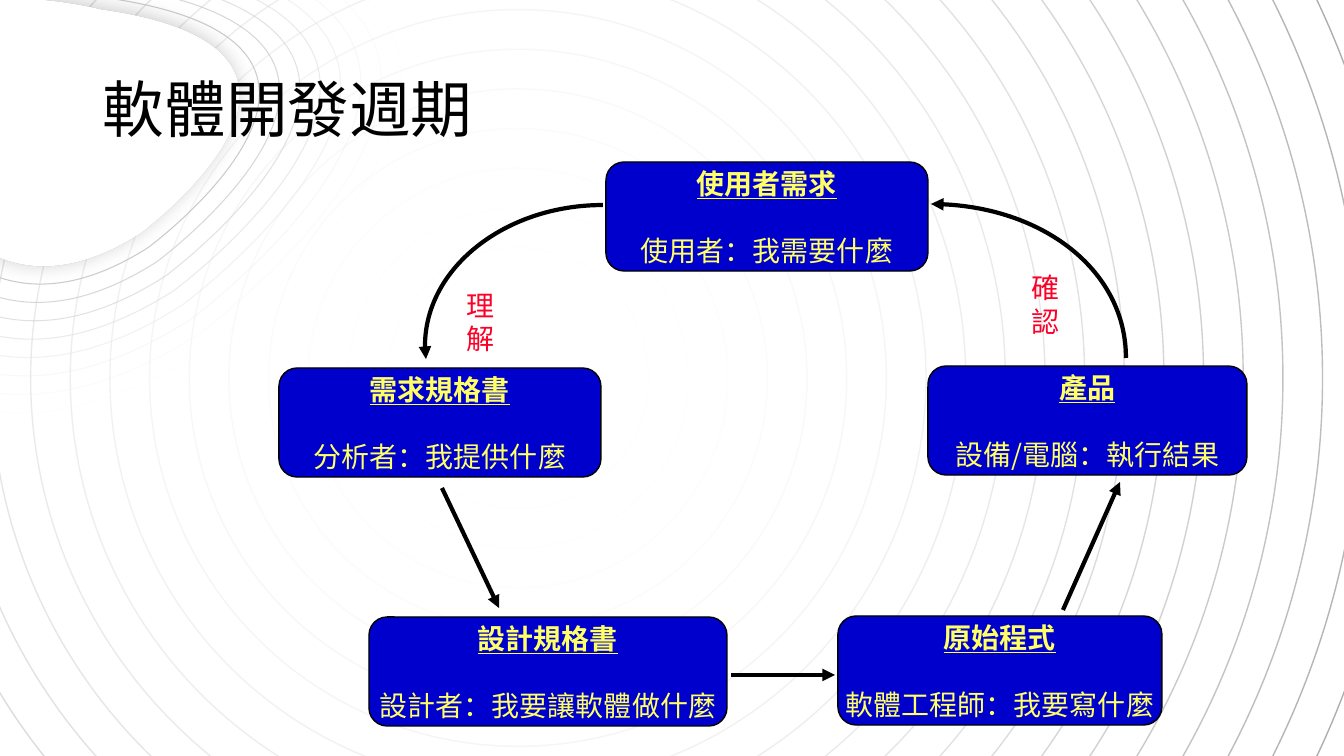
from lxml.etree import SubElement
from pptx import Presentation
from pptx.dml.color import RGBColor
from pptx.enum.shapes import MSO_CONNECTOR, MSO_SHAPE
from pptx.enum.text import MSO_ANCHOR, PP_ALIGN
from pptx.oxml.ns import qn
from pptx.util import Pt

# Content, lengths in px
W, H = 1344, 756
FONT = "Noto Sans CJK SC"
COLORS = {"box": "0000CC", "line": "000000", "text": "FFFF66",
          "label": "FC0128", "title": "000000", "white": "FFFFFF", "ring_shadow": "323232"}
TITLE = "軟體開發週期"
STAGES = [  # heading, question, left, top, width
    ("使用者需求", "使用者：我需要什麼", 606, 162, 322),
    ("需求規格書", "分析者：我提供什麼", 279, 368, 322),
    ("設計規格書", "設計者：我要讓軟體做什麼", 369, 617, 358),
    ("原始程式", "軟體工程師：我要寫什麼", 838, 616, 324),
    ("產品", "設備/電腦：執行結果", 928, 366, 319),
]
STAGE_H = 109
LABELS = [("理解", 451, 280), ("確認", 1016, 263)]
ARROWS = [((442, 488), (499, 608)), ((731, 675), (835, 675)), ((1063, 610), (1120, 482))]
ARCS = [  # lists of cubic segments
    [((603, 205), (505, 205), (425, 268), (425, 346)),
     ((425, 346), (425, 350), (425, 354), (426, 359))],
    [((1126, 358), (1126, 272), (1040, 204), (931, 204))],
]
# Rings around one centre
RING_CENTER, RING_COUNT, RING_OUTER, RING_INNER, RING_GREY = (518, 378), 21, 1847, 261, 166
# Blob outlines: corner, pull, corner, pull, corner, pull
BLOB_OUTER = [(131, -89), (-363, -216), (-269, 146), (-140, 571), (208, 348), (691, -10)]
BLOB_INNER = [(101, 10), (-151, -55), (-104, 130), (-37, 346), (140, 233), (387, 50)]
BLOB_COUNT, BLOB_GREY = 9, 191

SCALE = 12192000 / W


def px(n):
    return round(n * SCALE)


def rgb(hex_string):
    return RGBColor.from_string(hex_string)


def mix(a, b, t):
    return a + (b - a) * t


def fade(dark, alpha):
    grey = round(mix(255, dark, alpha))
    return f"{grey:02X}" * 3


def style(sp, line, width, fill=None, alpha=1):
    sp.shadow.inherit = False
    if fill:
        sp.fill.solid()
        sp.fill.fore_color.rgb = rgb(fill)
    else:
        sp.fill.background()
    sp.line.color.rgb = rgb(line)
    sp.line.width = Pt(width)
    if alpha < 1:
        color = sp.line._get_or_add_ln().find(".//" + qn("a:srgbClr"))
        SubElement(color, qn("a:alpha"), val=str(round(alpha * 100000)))


def add_shadow(sp, color, alpha, blur, dist, angle):
    effects = sp._element.spPr.find(qn("a:effectLst"))
    shadow = SubElement(effects, qn("a:outerShdw"), blurRad=str(int(Pt(blur))),
                        dist=str(int(Pt(dist))), dir=str(angle * 60000),
                        algn="ctr", rotWithShape="0")
    clr = SubElement(shadow, qn("a:srgbClr"), val=color)
    SubElement(clr, qn("a:alpha"), val=str(alpha * 1000))


def arrowhead(sp):
    SubElement(sp.line._get_or_add_ln(), qn("a:tailEnd"), type="triangle")


def on_curve(segment, t):
    u = 1 - t
    weights = (u**3, 3 * u * u * t, 3 * u * t * t, t**3)
    return [px(sum(w * pt[k] for w, pt in zip(weights, segment))) for k in (0, 1)]


def curve(shapes, segments, close, steps=20):
    # Points along the curve set the bounds of the shape
    points = [on_curve(seg, i / steps) for seg in segments for i in range(steps + 1)]
    builder = shapes.build_freeform(*points[0], scale=1.0)
    builder.add_line_segments(points[1:], close=close)
    sp = builder.convert_to_shape()
    # True cubic segments then take the place of the straight ones
    outline = sp._element.find(".//" + qn("a:path"))
    for line in outline.findall(qn("a:lnTo")) + outline.findall(qn("a:close")):
        outline.remove(line)
    for segment in segments:
        cubic = SubElement(outline, qn("a:cubicBezTo"))
        for x, y in segment[1:]:
            SubElement(cubic, qn("a:pt"), x=str(px(x) - sp.left), y=str(px(y) - sp.top))
    if close:
        SubElement(outline, qn("a:close"))
    return sp


def blob(shapes, t):
    pts = [(mix(a[0], b[0], t), mix(a[1], b[1], t)) for a, b in zip(BLOB_OUTER, BLOB_INNER)]
    segments = [(pts[i], pts[i], pts[i + 1], pts[(i + 2) % 6]) for i in (0, 2, 4)]
    return curve(shapes, segments, close=True)


def set_font(p, size, color):
    for r in p.runs:
        r.font.size = Pt(size)
        r.font.name = FONT
        r.font.color.rgb = rgb(color)
        SubElement(r.font._element, qn("a:ea"), typeface=FONT)


def set_insets(tf, left, top, right, bottom):
    tf.margin_left, tf.margin_top = px(left), px(top)
    tf.margin_right, tf.margin_bottom = px(right), px(bottom)


prs = Presentation()
prs.slide_width, prs.slide_height = px(W), px(H)
s = prs.slides.add_slide(prs.slide_layouts[6])
shapes = s.shapes

# Background rings
for i in range(RING_COUNT):
    d = mix(RING_OUTER, RING_INNER, i / (RING_COUNT - 1))
    alpha = 1 - i / RING_COUNT
    left, top = (c - d / 2 for c in RING_CENTER)
    sp = shapes.add_shape(MSO_SHAPE.OVAL, px(left), px(top), px(d), px(d))
    style(sp, fade(RING_GREY, alpha), 1, alpha=alpha)

# Corner blob with its fading outlines
for i in range(BLOB_COUNT):
    alpha = (i + 1) / BLOB_COUNT
    sp = blob(shapes, i / (BLOB_COUNT - 1))
    style(sp, fade(BLOB_GREY, alpha), 0.75, alpha=alpha)
    add_shadow(sp, COLORS["ring_shadow"], 10, 50, 0, 0)
sp = blob(shapes, 1)
style(sp, COLORS["white"], 0.75, fill=COLORS["white"])
add_shadow(sp, COLORS["line"], 20, 15, 3, 225)

# Stage boxes
for heading, question, left, top, width in STAGES:
    sp = shapes.add_shape(MSO_SHAPE.ROUNDED_RECTANGLE, px(left), px(top), px(width), px(STAGE_H))
    style(sp, COLORS["line"], 1, fill=COLORS["box"])
    tf = sp.text_frame
    tf.word_wrap = False
    tf.vertical_anchor = MSO_ANCHOR.MIDDLE
    set_insets(tf, 16, 8, 16, 8)
    tf.text = f"{heading}\n{question}"
    for p in tf.paragraphs:
        p.alignment = PP_ALIGN.CENTER
        p.line_spacing = Pt(24)
        set_font(p, 20, COLORS["text"])
    first, second = tf.paragraphs
    first.runs[0].font.bold = first.runs[0].font.underline = True
    second.space_before = Pt(24)

# Curved and straight arrows
for segments in ARCS:
    sp = curve(shapes, segments, close=False)
    style(sp, COLORS["line"], 3)
    arrowhead(sp)
for (x1, y1), (x2, y2) in ARROWS:
    sp = shapes.add_connector(MSO_CONNECTOR.STRAIGHT, px(x1), px(y1), px(x2), px(y2))
    sp.line.color.rgb = rgb(COLORS["line"])
    sp.line.width = Pt(3)
    arrowhead(sp)
    SubElement(sp._element.spPr, qn("a:effectLst"))

# Arc labels, one character a line
for text, left, top in LABELS:
    tf = shapes.add_textbox(px(left), px(top), px(88), px(50)).text_frame
    tf.word_wrap = True
    set_insets(tf, 16, 8, 26, 8)
    tf.text = text
    p = tf.paragraphs[0]
    p.line_spacing = Pt(24)
    set_font(p, 20, COLORS["label"])

# Title
tf = shapes.add_textbox(px(93), px(40), px(1159), px(146)).text_frame
tf.word_wrap = True
tf.vertical_anchor = MSO_ANCHOR.MIDDLE
tf.text = TITLE
p = tf.paragraphs[0]
p.line_spacing = 0.9
set_font(p, 44, COLORS["title"])

prs.save("out.pptx")
